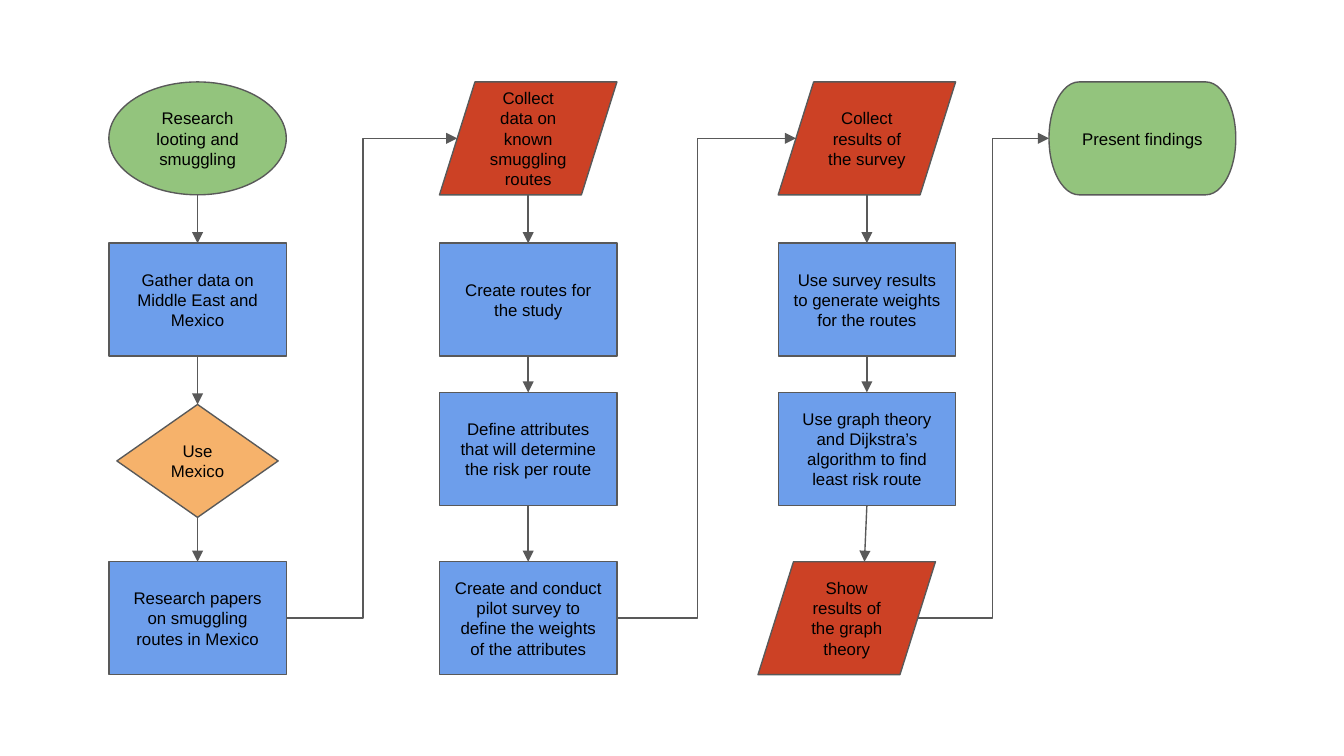
from dataclasses import dataclass
from itertools import pairwise

from lxml import etree
from pptx import Presentation
from pptx.dml.color import RGBColor
from pptx.enum.shapes import MSO_CONNECTOR, MSO_SHAPE
from pptx.enum.text import MSO_ANCHOR, PP_ALIGN
from pptx.oxml.ns import qn
from pptx.shapes.autoshape import Shape
from pptx.shapes.connector import Connector
from pptx.slide import Slide
from pptx.util import Inches, Pt

STRAIGHT, ELBOW = MSO_CONNECTOR.STRAIGHT, MSO_CONNECTOR.ELBOW
ELLIPSE, RECTANGLE = MSO_SHAPE.OVAL, MSO_SHAPE.RECTANGLE
DECISION, DATA = MSO_SHAPE.FLOWCHART_DECISION, MSO_SHAPE.FLOWCHART_DATA
TERMINATOR = MSO_SHAPE.FLOWCHART_TERMINATOR
MIDDLE, CENTER = MSO_ANCHOR.MIDDLE, PP_ALIGN.CENTER

GREEN = RGBColor(0x93, 0xC4, 0x7D)
BLUE = RGBColor(0x6D, 0x9E, 0xEB)
ORANGE = RGBColor(0xF6, 0xB2, 0x6B)
RED = RGBColor(0xCC, 0x41, 0x25)
GRAY = RGBColor(0x59, 0x59, 0x59)
BLACK = RGBColor(0x00, 0x00, 0x00)

SLIDE_WIDTH = 10
SLIDE_HEIGHT = SLIDE_WIDTH * 9 / 16
COLUMN_CENTERS = (1.47, 3.93, 6.45, 8.5)
ROW_TOPS = (0.61, 1.81, 2.92, 4.18)
STEP_HEIGHT = 0.84
STEP_WIDTH = 1.32
SLANT = 0.1
TOP_SITE, BOTTOM_SITE = 0, 2

FRAME_FORMAT = {
    "word_wrap": True,
    "vertical_anchor": MIDDLE,
    "margin_left": Inches(0.1),
    "margin_right": Inches(0.1),
    "margin_top": Inches(0.1),
    "margin_bottom": Inches(0.1),
}
FONT_FORMAT = {"name": "Arial", "size": Pt(9)}


@dataclass(frozen=True)
class Kind:
    preset: int
    fill: RGBColor
    width: float = STEP_WIDTH
    slant: float = 0


START = Kind(ELLIPSE, GREEN)
PROCESS = Kind(RECTANGLE, BLUE)
CHOICE = Kind(DECISION, ORANGE, 1.2)
DATA_STEP = Kind(DATA, RED, slant=SLANT)
FINISH = Kind(TERMINATOR, GREEN, 1.39)


@dataclass(frozen=True)
class Step:
    text: str
    kind: Kind
    shift_x: float = 0
    shift_y: float = 0


@dataclass(frozen=True)
class Placed:
    kind: Kind
    shape: Shape
    center: float
    top: float

    @property
    def bottom(self) -> float:
        return self.top + STEP_HEIGHT

    @property
    def middle(self) -> float:
        return self.top + STEP_HEIGHT / 2

    @property
    def landing(self) -> float:
        return self.center + self.kind.width * self.kind.slant

    @property
    def half_reach(self) -> float:
        return self.kind.width * (0.5 - self.kind.slant)


COLUMNS = (
    (
        Step("Research looting and smuggling", START),
        Step("Gather data on Middle East and Mexico", PROCESS),
        Step("Use Mexico", CHOICE, shift_y=0.09),
        Step("Research papers on smuggling routes in Mexico", PROCESS),
    ),
    (
        Step("Collect data on known smuggling routes", DATA_STEP),
        Step("Create routes for the study", PROCESS),
        Step("Define attributes that will determine the risk per route", PROCESS),
        Step("Create and conduct pilot survey to define the weights of the attributes", PROCESS),
    ),
    (
        Step("Collect results of the survey", DATA_STEP),
        Step("Use survey results to generate weights for the routes", PROCESS),
        Step("Use graph theory and Dijkstra’s algorithm to find least risk route", PROCESS),
        Step("Show results of the graph theory", DATA_STEP, shift_x=-0.15),
    ),
    (Step("Present findings", FINISH),),
)
BENDS = (0.45, 0.45, 0.57)


def apply_format(target: object, values: dict[str, object]) -> None:
    for name, value in values.items():
        setattr(target, name, value)


def draw_step(slide: Slide, step: Step, column: int, row: int) -> Placed:
    kind = step.kind
    center = COLUMN_CENTERS[column] + step.shift_x
    top = ROW_TOPS[row] + step.shift_y
    box = (center - kind.width / 2, top, kind.width, STEP_HEIGHT)
    shape = slide.shapes.add_shape(kind.preset, *map(Inches, box))
    shape.shadow.inherit = False
    shape.fill.solid()
    shape.fill.fore_color.rgb = kind.fill
    shape.line.color.rgb = GRAY
    shape.line.width = Pt(0.75)
    apply_format(shape.text_frame, FRAME_FORMAT)
    paragraph = shape.text_frame.paragraphs[0]
    paragraph.alignment = CENTER
    run = paragraph.add_run()
    run.text = step.text
    apply_format(run.font, FONT_FORMAT)
    run.font.color.rgb = BLACK
    return Placed(kind, shape, center, top)


def draw_arrow(slide: Slide, route: int, *ends: float) -> Connector:
    arrow = slide.shapes.add_connector(route, *map(Inches, ends))
    arrow.line.color.rgb = GRAY
    arrow.line.width = Pt(0.75)
    properties = arrow.element.spPr
    etree.SubElement(properties.find(qn("a:ln")), qn("a:tailEnd"), type="triangle")
    etree.SubElement(properties, qn("a:effectLst"))
    return arrow


def link_down(slide: Slide, upper: Placed, lower: Placed) -> None:
    arrow = draw_arrow(slide, STRAIGHT, upper.center, upper.bottom, lower.landing, lower.top)
    if upper.kind is PROCESS:
        arrow.begin_connect(upper.shape, BOTTOM_SITE)
    if lower.kind is PROCESS:
        arrow.end_connect(lower.shape, TOP_SITE)


def link_across(slide: Slide, last: Placed, first: Placed, bend: float) -> None:
    begin = last.center + last.half_reach
    end = first.center - first.half_reach
    arrow = draw_arrow(slide, ELBOW, begin, last.middle, end, first.middle)
    guides = arrow.element.spPr.find(qn("a:prstGeom")).get_or_add_avLst()
    etree.SubElement(guides, qn("a:gd"), name="adj1", fmla=f"val {round(bend * 100000)}")


def main() -> None:
    presentation = Presentation()
    presentation.slide_width = Inches(SLIDE_WIDTH)
    presentation.slide_height = Inches(SLIDE_HEIGHT)
    slide = presentation.slides.add_slide(presentation.slide_layouts[6])
    columns = [
        [draw_step(slide, step, column, row) for row, step in enumerate(steps)]
        for column, steps in enumerate(COLUMNS)
    ]
    for steps in columns:
        for upper, lower in pairwise(steps):
            link_down(slide, upper, lower)
    for (left, right), bend in zip(pairwise(columns), BENDS):
        link_across(slide, left[-1], right[0], bend)
    presentation.save("out.pptx")


if __name__ == "__main__":
    main()
